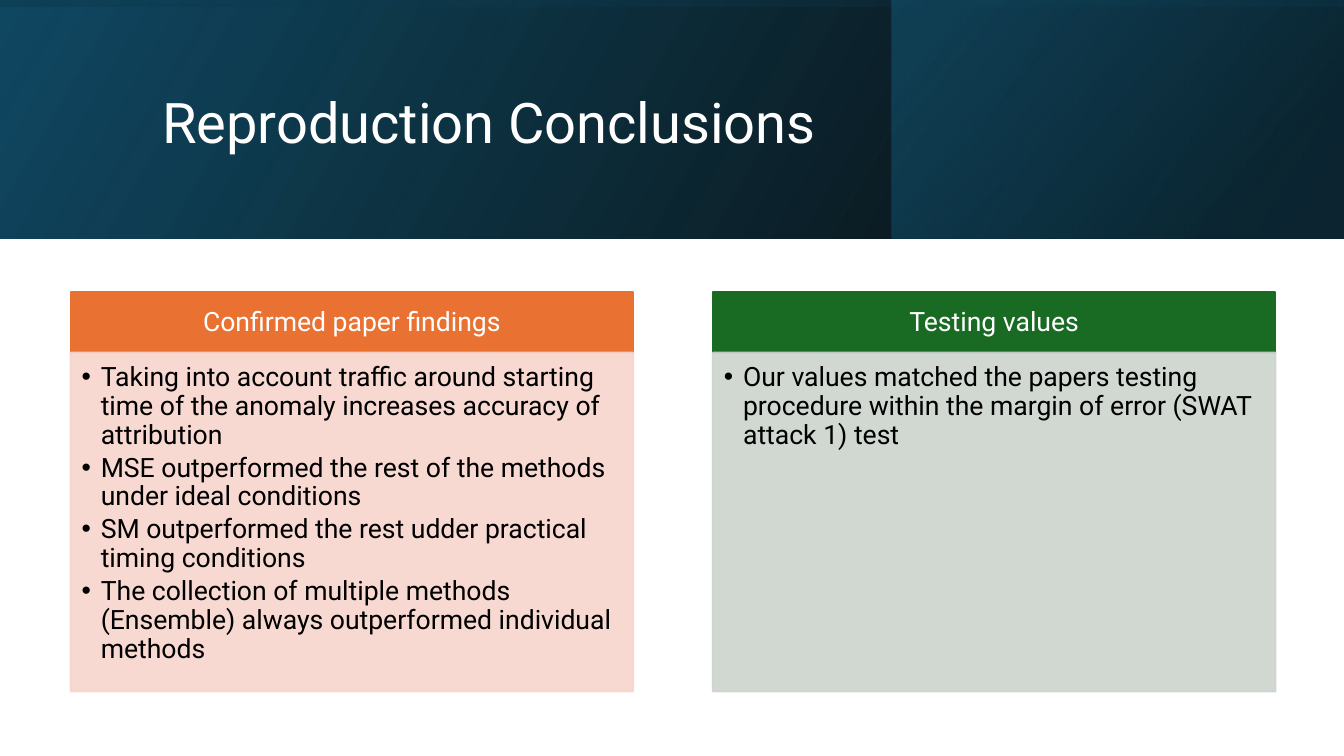
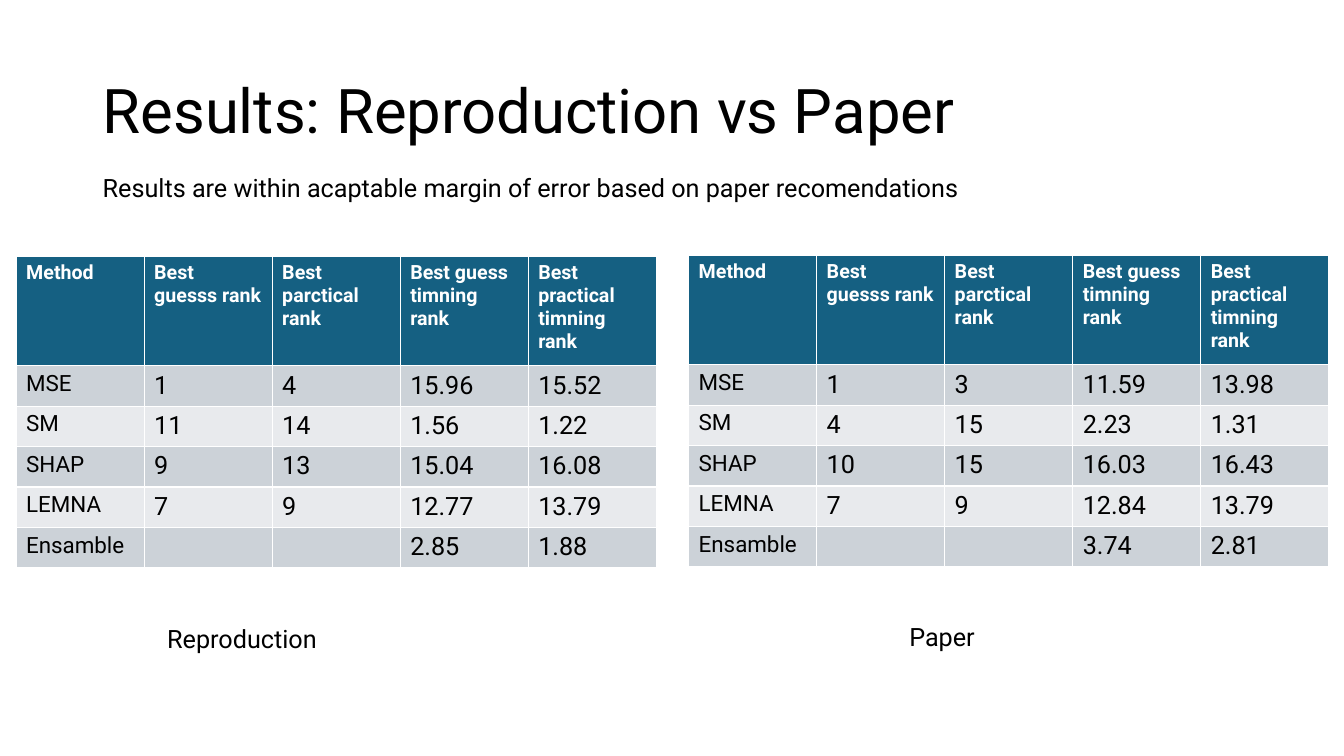
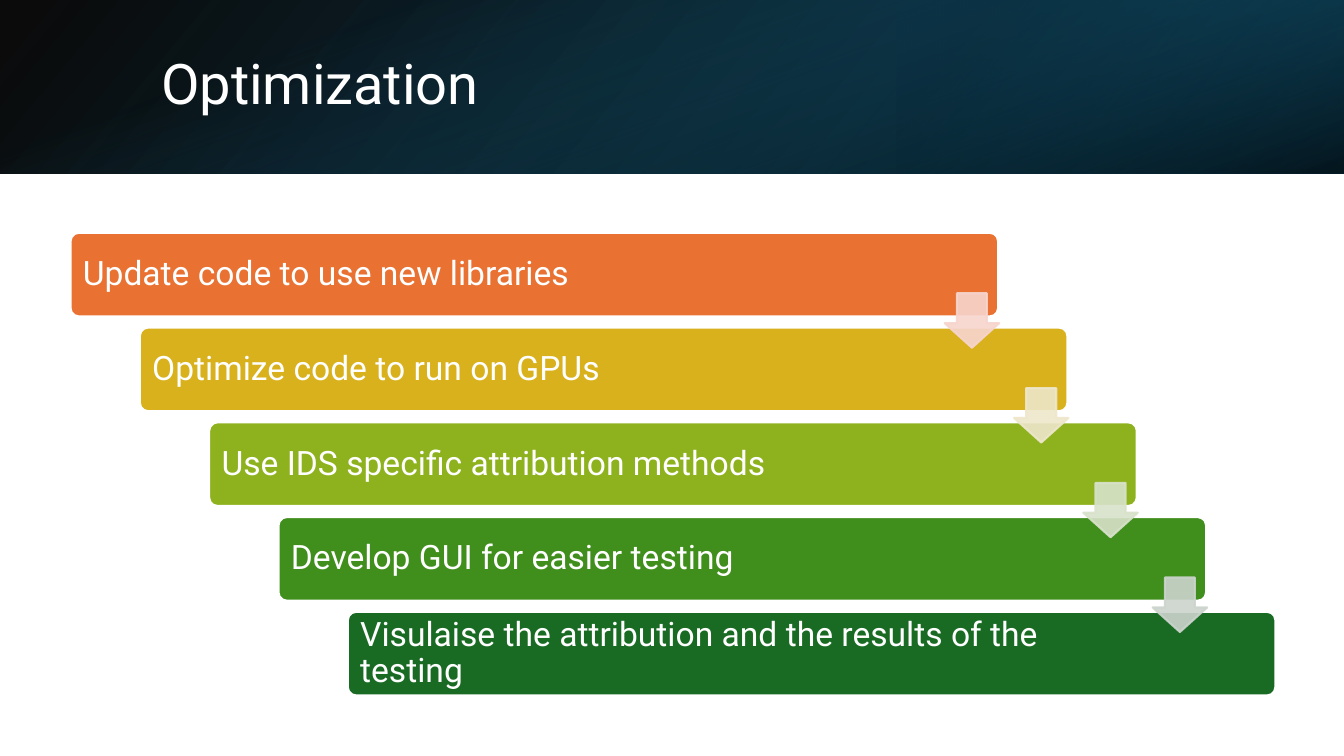
from dataclasses import dataclass
from typing import NamedTuple

from lxml.etree import SubElement
from pptx import Presentation
from pptx.dml.color import RGBColor
from pptx.enum.shapes import MSO_SHAPE
from pptx.enum.text import MSO_ANCHOR, PP_ALIGN
from pptx.oxml.ns import qn
from pptx.util import Inches, Pt


class Box(NamedTuple):
    left: float
    top: float
    width: float
    height: float

    def inches(self):
        return [Inches(length) for length in self]


class Stop(NamedTuple):
    position: int
    color: str
    opacity: int = 100


@dataclass(frozen=True)
class Theme:
    font: str = "Roboto"
    white: str = "FFFFFF"
    black: str = "000000"
    navy: str = "104862"
    deep_blue: str = "0B3041"
    blue: str = "156082"
    row_dark: str = "CCD2D8"
    row_light: str = "E8EAED"
    orange: str = "E97132"
    yellow: str = "D8B11D"
    lime: str = "8EB21E"
    leaf: str = "408E1C"
    green: str = "196B24"
    pale_orange: str = "F7D5CE"
    pale_yellow: str = "EEE7CB"
    pale_lime: str = "D8E2CA"
    pale_green: str = "CCD4CD"
    title_size: int = 40
    large_title_size: int = 44
    step_size: int = 24
    card_size: int = 19
    text_size: int = 18
    label_size: int = 16
    header_size: int = 14
    tint_opacity: int = 90
    outline: float = 1.5


THEME = Theme()
SLIDE_WIDTH, SLIDE_HEIGHT = 13.33, 7.5
DEFAULT_INSETS = (0.1, 0.05, 0.1, 0.05)


def set_opacity(color_element, percent):
    if percent < 100:
        SubElement(color_element, qn("a:alpha"), val=str(percent * 1000))


def add_bullet(paragraph, indent):
    properties = paragraph._p.get_or_add_pPr()
    properties.set("marL", str(Inches(indent)))
    properties.set("indent", str(-Inches(indent)))
    SubElement(properties, qn("a:buFont"), typeface="Arial")
    SubElement(properties, qn("a:buChar"), char="•")


def write_text(frame, *lines, size=THEME.text_size, color=THEME.black, bold=False,
               align=PP_ALIGN.LEFT, anchor=MSO_ANCHOR.TOP, insets=DEFAULT_INSETS,
               line_spacing=1.0, space_after=0, bullet_indent=None):
    frame.word_wrap = True
    frame.vertical_anchor = anchor
    (frame.margin_left, frame.margin_top,
     frame.margin_right, frame.margin_bottom) = Box(*insets).inches()
    for index, line in enumerate(lines):
        paragraph = frame.add_paragraph() if index else frame.paragraphs[0]
        paragraph.alignment = align
        paragraph.line_spacing = line_spacing
        paragraph.space_after = Pt(space_after)
        if bullet_indent:
            add_bullet(paragraph, bullet_indent)
        run = paragraph.add_run()
        run.text = line
        run.font.name = THEME.font
        run.font.size = Pt(size)
        run.font.bold = bold
        run.font.color.rgb = RGBColor.from_string(color)


def add_text(slide, box, text, **text_format):
    write_text(slide.shapes.add_textbox(*box.inches()).text_frame, text, **text_format)


def add_title(slide, box, text, size=THEME.title_size, color=THEME.white):
    add_text(slide, box, text, size=size, color=color,
             anchor=MSO_ANCHOR.MIDDLE, line_spacing=0.9)


def add_solid(slide, kind, box, color, line=None, opacity=100, adjustments=()):
    shape = slide.shapes.add_shape(kind, *box.inches())
    shape.shadow.inherit = False
    for index, value in enumerate(adjustments):
        shape.adjustments[index] = value
    shape.fill.solid()
    shape.fill.fore_color.rgb = RGBColor.from_string(color)
    shape.line.color.rgb = RGBColor.from_string(line or color)
    shape.line.width = Pt(THEME.outline)
    for color_element in shape._element.spPr.iter(qn("a:srgbClr")):
        set_opacity(color_element, opacity)
    return shape


def add_gradient(slide, box, stops, angle, rotation=0, flipped=True):
    """Cover box with a gradient; a quarter-turned shape is sized so it still fits box."""
    left, top, width, height = box
    if rotation in (90, 270):
        offset = (width - height) / 2
        box = Box(left + offset, top - offset, height, width)
    shape = slide.shapes.add_shape(MSO_SHAPE.RECTANGLE, *box.inches())
    shape.shadow.inherit = False
    shape.line.fill.background()
    shape.rotation = rotation
    if flipped:
        shape._element.spPr.xfrm.set("flipH", "1")
    shape.fill.gradient()
    shape.fill.gradient_angle = 360 - angle
    for target, stop in zip(shape.fill.gradient_stops, stops):
        target.position = stop.position / 100
        target.color.rgb = RGBColor.from_string(stop.color)
    color_elements = shape._element.spPr.iter(qn("a:srgbClr"))
    for color_element, stop in zip(list(color_elements), stops):
        set_opacity(color_element, stop.opacity)


def add_band(slide, box, base_angle, panel, overlay):
    """Layer a base, a panel at the right end and a quarter-turned overlay."""
    base_stops = (Stop(0, THEME.black, 96), Stop(100, THEME.navy))
    add_gradient(slide, box, base_stops, base_angle)
    panel_width = panel.pop("width")
    panel_box = Box(box.left + box.width - panel_width, box.top, panel_width, box.height)
    add_gradient(slide, panel_box, angle=320, **panel)
    add_gradient(slide, box, **overlay)


def add_card(slide, box, heading, points, color, tint):
    header_height = 0.6
    header = add_solid(slide, MSO_SHAPE.RECTANGLE,
                       Box(box.left, box.top, box.width, header_height), color)
    write_text(header.text_frame, heading, size=THEME.card_size, color=THEME.white,
               align=PP_ALIGN.CENTER, anchor=MSO_ANCHOR.MIDDLE, line_spacing=0.9)
    body_box = Box(box.left, box.top + header_height, box.width, box.height - header_height)
    body = add_solid(slide, MSO_SHAPE.RECTANGLE, body_box, tint, opacity=THEME.tint_opacity)
    write_text(body.text_frame, *points, size=THEME.card_size, line_spacing=0.9,
               insets=(0.11, 0.11, 0.15, 0.17), space_after=3, bullet_indent=0.19)


def add_rank_table(slide, box, header, rows):
    header_height = 1.09
    table = slide.shapes.add_table(len(rows) + 1, len(header), *box.inches()).table
    for column in table.columns:
        column.width = Inches(box.width / len(header))
    for row in table.rows:
        row.height = Inches((box.height - header_height) / len(rows))
    table.rows[0].height = Inches(header_height)
    for row_index, values in enumerate([header, *rows]):
        for column_index, value in enumerate(values):
            if row_index == 0:
                fill, size, color = THEME.blue, THEME.header_size, THEME.white
            else:
                fill = THEME.row_dark if row_index % 2 else THEME.row_light
                size = THEME.text_size if column_index else THEME.label_size
                color = THEME.black
            cell = table.cell(row_index, column_index)
            cell.fill.solid()
            cell.fill.fore_color.rgb = RGBColor.from_string(fill)
            if value:
                write_text(cell.text_frame, value, size=size, color=color,
                           bold=row_index == 0)


def add_staircase(slide, box, steps):
    """Lay the steps from top left to bottom right, then an arrow between each pair."""
    bar_width, bar_height, arrow_size = 9.2, 0.83, 0.54
    gaps = len(steps) - 1
    shift = (box.width - bar_width) / gaps
    drop = (box.height - bar_height) / gaps
    bars = [Box(box.left + index * shift, box.top + index * drop, bar_width, bar_height)
            for index in range(len(steps))]
    for bar, (text, color, _) in zip(bars, steps):
        shape = add_solid(slide, MSO_SHAPE.ROUNDED_RECTANGLE, bar, color,
                          line=THEME.white, adjustments=[0.1])
        write_text(shape.text_frame, text, size=THEME.step_size, color=THEME.white,
                   anchor=MSO_ANCHOR.MIDDLE, line_spacing=0.9,
                   insets=(0.1, 0.05, 1.32, 0.05))
    for bar, (_, _, tint) in zip(bars[:-1], steps):
        arrow = Box(bar.left + bar.width - arrow_size + 0.01, bar.top + 0.6,
                    arrow_size, arrow_size)
        add_solid(slide, MSO_SHAPE.DOWN_ARROW, arrow, tint,
                  opacity=THEME.tint_opacity, adjustments=[0.55, 0.45])


def build_conclusions(slide):
    add_band(
        slide, Box(0, 0, SLIDE_WIDTH, 2.37), base_angle=330,
        panel={"width": 4.49,
               "stops": (Stop(19, THEME.deep_blue, 68), Stop(100, THEME.blue, 48))},
        overlay={"stops": (Stop(23, THEME.navy, 16), Stop(99, THEME.black, 45)),
                 "angle": 350, "rotation": 270})
    add_title(slide, Box(1.51, 0.38, 10.63, 1.72), "Reproduction Conclusions")
    cards = [
        ("Confirmed paper findings",
         ["Taking into account traffic around starting time of the anomaly "
          "increases accuracy of attribution",
          "MSE outperformed the rest of the methods under ideal conditions",
          "SM outperformed the rest udder practical timing conditions",
          "The collection of multiple methods (Ensemble) always outperformed "
          "individual methods"],
         THEME.orange, THEME.pale_orange),
        ("Testing values",
         ["Our values matched the papers testing procedure within the margin of "
          "error (SWAT attack 1) test"],
         THEME.green, THEME.pale_green),
    ]
    for index, card in enumerate(cards):
        add_card(slide, Box(0.7 + index * 6.37, 2.9, 5.58, 3.96), *card)


def build_results(slide):
    add_title(slide, Box(0.92, 0.4, 11.5, 1.45), "Results: Reproduction vs Paper",
              size=THEME.large_title_size, color=THEME.black)
    header = ["Method", "Best guesss rank", "Best parctical rank",
              "Best guess timning rank", "Best practical timning rank"]
    reproduction = [
        ["MSE", "1", "4", "15.96", "15.52"],
        ["SM", "11", "14", "1.56", "1.22"],
        ["SHAP", "9", "13", "15.04", "16.08"],
        ["LEMNA", "7", "9", "12.77", "13.79"],
        ["Ensamble", "", "", "2.85", "1.88"],
    ]
    paper = [
        ["MSE", "1", "3", "11.59", "13.98"],
        ["SM", "4", "15", "2.23", "1.31"],
        ["SHAP", "10", "15", "16.03", "16.43"],
        ["LEMNA", "7", "9", "12.84", "13.79"],
        ["Ensamble", "", "", "3.74", "2.81"],
    ]
    add_rank_table(slide, Box(0.16, 2.54, 6.35, 3.04), header, reproduction)
    add_rank_table(slide, Box(6.83, 2.53, 6.35, 3.04), header, paper)
    add_text(slide, Box(1.56, 6.13, 2.86, 0.41), "Reproduction")
    add_text(slide, Box(8.92, 6.11, 2.86, 0.41), "Paper")
    add_text(slide, Box(0.92, 1.66, 8.7, 0.4),
             "Results are within acaptable margin of error based on paper recomendations")


def build_optimization(slide):
    add_band(
        slide, Box(0, 0, SLIDE_WIDTH, 1.72), base_angle=140,
        panel={"width": 4.44, "rotation": 180,
               "stops": (Stop(19, THEME.deep_blue, 68), Stop(100, THEME.blue, 79))},
        overlay={"stops": (Stop(23, THEME.blue, 0), Stop(99, THEME.black, 74)),
                 "angle": 340, "rotation": 90, "flipped": False})
    add_title(slide, Box(1.5, 0.38, 10.98, 0.96), "Optimization")
    add_staircase(slide, Box(0.7, 2.31, 11.95, 4.59), [
        ("Update code to use new libraries", THEME.orange, THEME.pale_orange),
        ("Optimize code to run on GPUs", THEME.yellow, THEME.pale_yellow),
        ("Use IDS specific attribution methods", THEME.lime, THEME.pale_lime),
        ("Develop GUI for easier testing", THEME.leaf, THEME.pale_green),
        ("Visulaise the attribution and the results of the testing", THEME.green, None),
    ])


def main():
    presentation = Presentation()
    presentation.slide_width = Inches(SLIDE_WIDTH)
    presentation.slide_height = Inches(SLIDE_HEIGHT)
    blank_layout = presentation.slide_layouts[6]
    for build in (build_conclusions, build_results, build_optimization):
        build(presentation.slides.add_slide(blank_layout))
    presentation.save("out.pptx")


if __name__ == "__main__":
    main()
